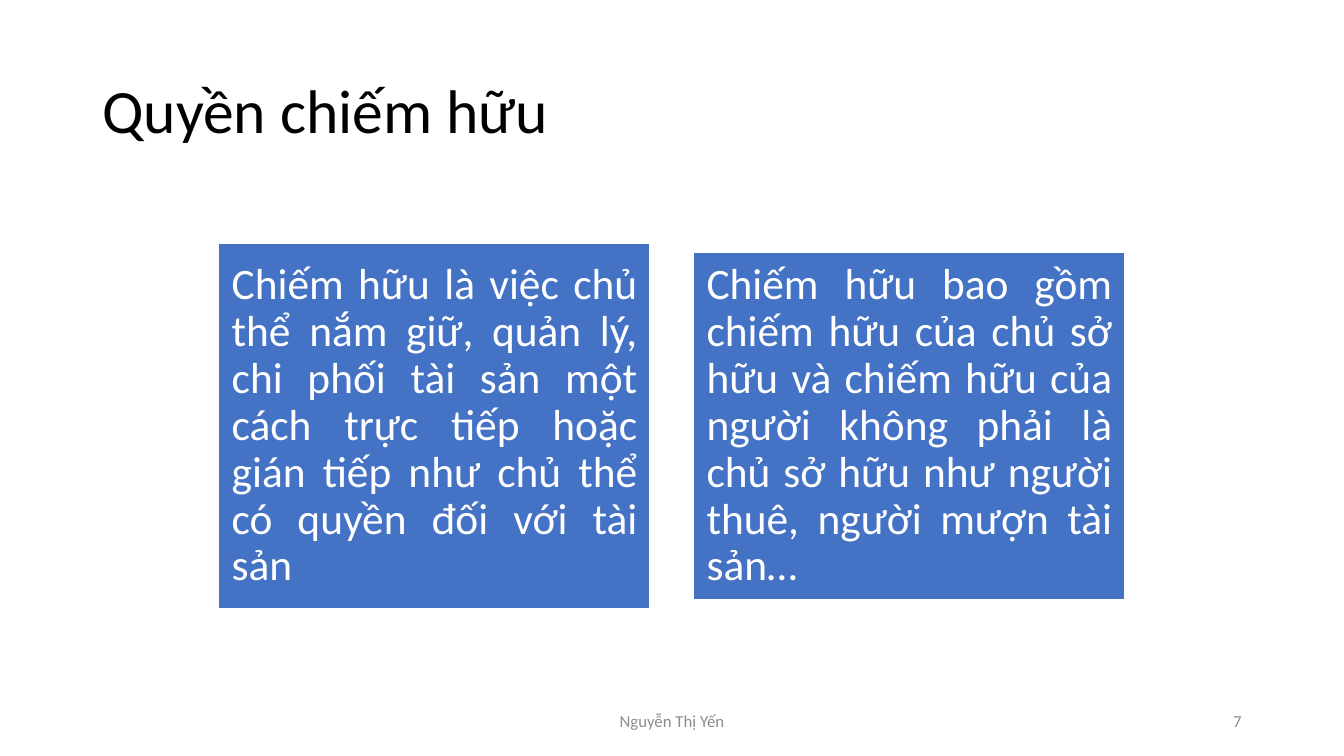
from pptx import Presentation
from pptx.dml.color import RGBColor
from pptx.enum.shapes import MSO_SHAPE as SHAPE
from pptx.enum.text import MSO_ANCHOR as ANCHOR, MSO_AUTO_SIZE as AUTO, PP_ALIGN as ALIGN
from pptx.util import Pt

COLORS = {"title": "000000", "card": "4472C4", "white": "FFFFFF", "footer": "8C8C8C"}
CARD_LEFT, CARD_WIDTH, CARD_GAP, CARD_MIDDLE = 156.2, 308.2, 31, 304.4
FOOTER_TOP, FOOTER_HEIGHT = 500.5, 28.75
CARDS = [
    (260.6, "Chiếm hữu là việc chủ thể nắm giữ, quản lý, chi phối tài sản một cách "
            "trực tiếp hoặc gián tiếp như chủ thể có quyền đối với tài sản"),
    (248.4, "Chiếm hữu bao gồm chiếm hữu của chủ sở hữu và chiếm hữu của người "
            "không phải là chủ sở hữu như người thuê, người mượn tài sản…"),
]


def color(name):
    return RGBColor.from_string(COLORS[name])


def write(sp, text, size, fill, align=ALIGN.LEFT, spacing=1.0, inset=None):
    tf = sp.text_frame
    tf.word_wrap = True
    tf.auto_size = AUTO.NONE
    tf.vertical_anchor = ANCHOR.MIDDLE
    if inset is not None:
        tf.margin_left = tf.margin_right = tf.margin_top = tf.margin_bottom = Pt(inset)
    p = tf.paragraphs[0]
    p.alignment = align
    p.line_spacing = spacing
    r = p.add_run()
    r.text = text
    r.font.name = "Calibri"
    r.font.size = Pt(size)
    r.font.color.rgb = color(fill)


def add_title(slide, text):
    sp = slide.shapes.title
    sp.left, sp.top, sp.width, sp.height = Pt(66), Pt(28.75), Pt(828), Pt(104.4)
    write(sp, text, 44, "title", spacing=0.9)


def add_card(slide, left, height, text):
    sp = slide.shapes.add_shape(SHAPE.RECTANGLE, Pt(left), Pt(CARD_MIDDLE - height / 2),
                                Pt(CARD_WIDTH), Pt(height))
    sp.shadow.inherit = False
    sp.fill.solid()
    sp.fill.fore_color.rgb = color("card")
    sp.line.color.rgb = color("white")
    sp.line.width = Pt(1)
    write(sp, text, 31, "white", align=ALIGN.JUSTIFY, spacing=0.9, inset=9.3)


def add_footer(slide, left, width, text, align):
    sp = slide.shapes.add_textbox(Pt(left), Pt(FOOTER_TOP), Pt(width), Pt(FOOTER_HEIGHT))
    write(sp, text, 12, "footer", align=align)


def main():
    prs = Presentation()
    prs.slide_width, prs.slide_height = Pt(960), Pt(540)
    slide = prs.slides.add_slide(prs.slide_layouts[5])
    add_title(slide, "Quyền chiếm hữu")
    for i, (height, text) in enumerate(CARDS):
        add_card(slide, CARD_LEFT + i * (CARD_WIDTH + CARD_GAP), height, text)
    add_footer(slide, 318, 324, "Nguyễn Thị Yến", ALIGN.CENTER)
    add_footer(slide, 678, 216, "7", ALIGN.RIGHT)
    prs.save("out.pptx")


if __name__ == "__main__":
    main()
